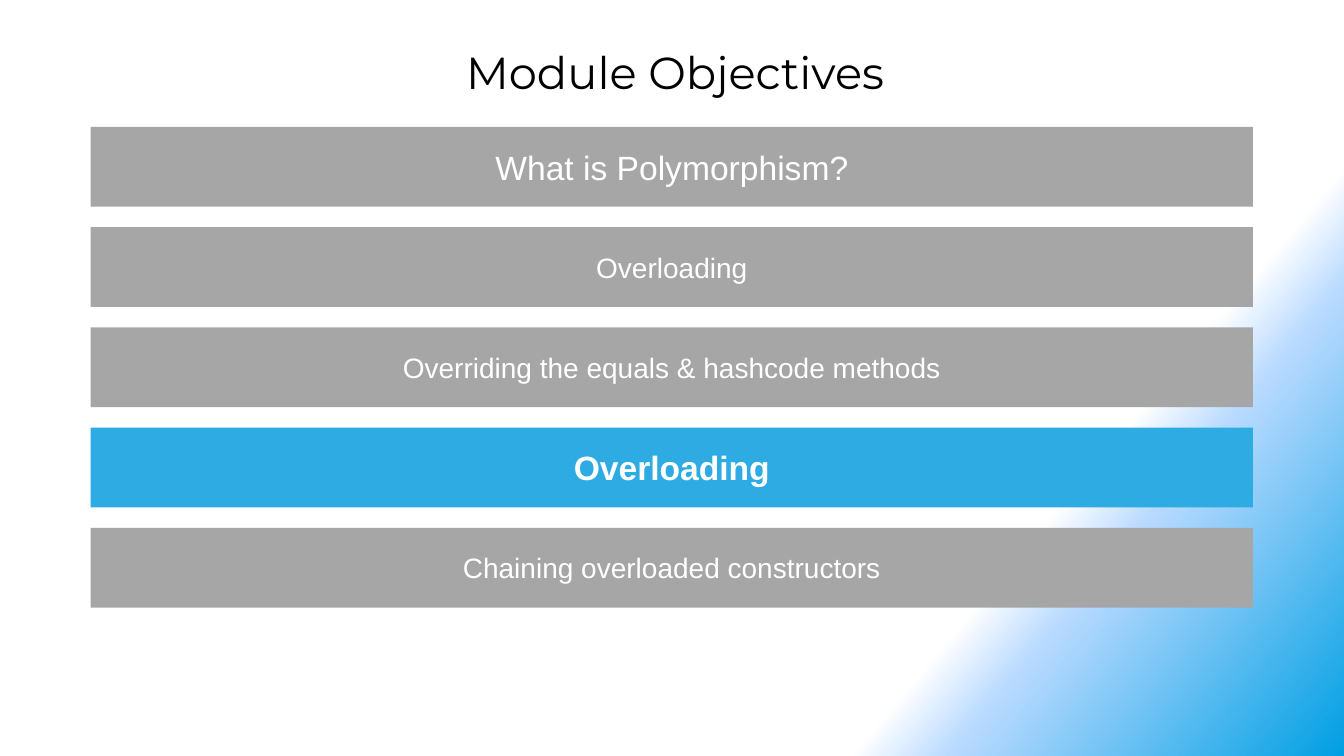
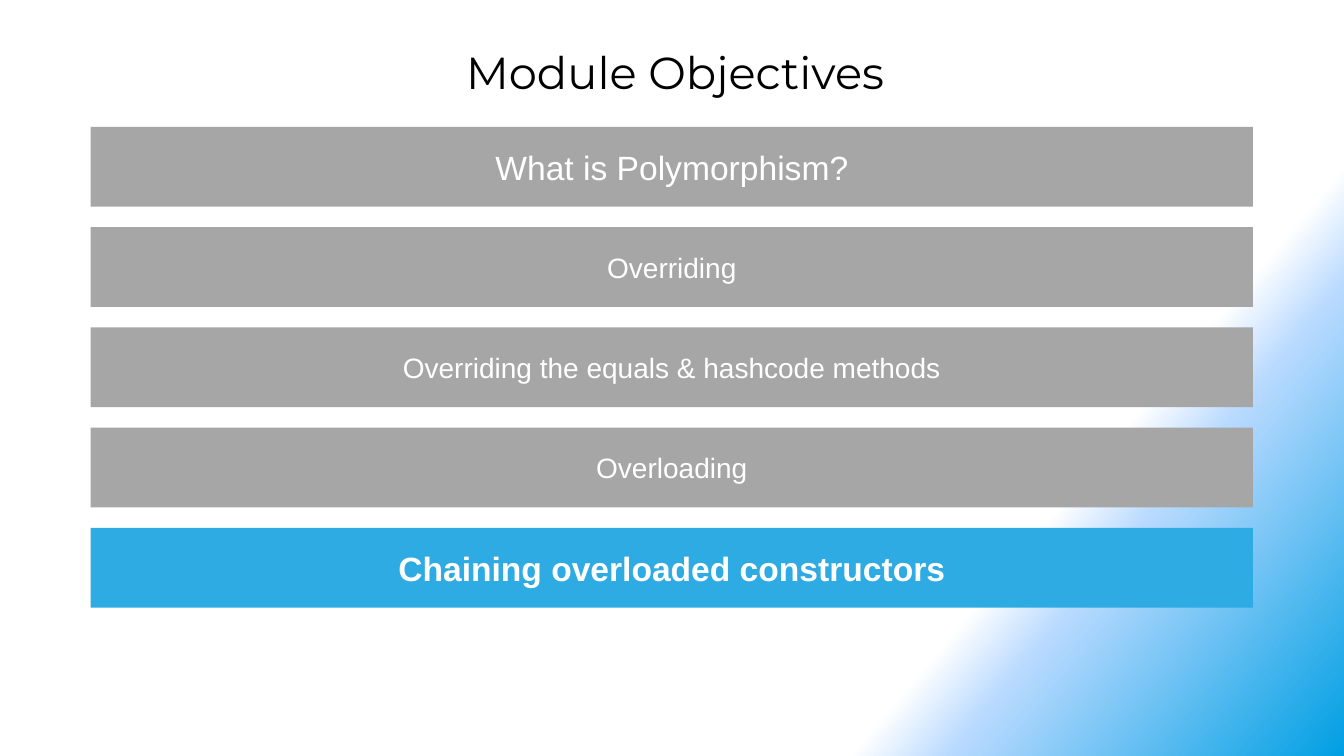
from dataclasses import dataclass

from lxml.etree import SubElement
from pptx import Presentation
from pptx.dml.color import RGBColor
from pptx.enum.shapes import MSO_SHAPE
from pptx.enum.text import MSO_ANCHOR, MSO_AUTO_SIZE, PP_ALIGN
from pptx.oxml.ns import qn
from pptx.presentation import Presentation as Deck
from pptx.slide import Slide, SlideMaster
from pptx.text.text import Font, TextFrame
from pptx.util import Pt

WHITE = RGBColor(0xFF, 0xFF, 0xFF)
BLACK = RGBColor(0x00, 0x00, 0x00)
GREY = RGBColor(0xA6, 0xA6, 0xA6)
HIGHLIGHT = RGBColor(0x2E, 0xAB, 0xE2)
PALE_BLUE = RGBColor(0xB9, 0xDA, 0xFF)
DEEP_BLUE = RGBColor(0x00, 0x9F, 0xE3)

TITLE_FONT = "Montserrat"
BODY_FONT = "Arial"

BAR_LEFT, BAR_TOP = 64.8, 90.7
BAR_WIDTH, BAR_HEIGHT = 830.2, 56.9
BAR_STEP = 71.6


@dataclass(frozen=True)
class GradientStop:
    percent: int
    color: RGBColor
    opacity: int = 100


@dataclass(frozen=True)
class Objective:
    text: str
    size: int = 20
    current: bool = False


BACKGROUND_STOPS = (
    GradientStop(75, WHITE),
    GradientStop(80, PALE_BLUE, opacity=50),
    GradientStop(100, DEEP_BLUE),
)

POLYMORPHISM = Objective("What is Polymorphism?", size=24)
EQUALS_HASHCODE = Objective("Overriding the equals & hashcode methods")
OVERLOADING = "Overloading"
CHAINING = "Chaining overloaded constructors"

AGENDAS = (
    (
        POLYMORPHISM,
        Objective(OVERLOADING),
        EQUALS_HASHCODE,
        Objective(OVERLOADING, size=24, current=True),
        Objective(CHAINING),
    ),
    (
        POLYMORPHISM,
        Objective("Overriding"),
        EQUALS_HASHCODE,
        Objective(OVERLOADING),
        Objective(CHAINING, size=24, current=True),
    ),
)


def paint_background(master: SlideMaster) -> None:
    """Give every slide the diagonal gradient, which python-pptx limits to two stops."""
    fill = master.background.fill
    fill.gradient()
    fill.gradient_angle = 320
    stop_list = master.element.xpath("./p:cSld/p:bg//a:gsLst")[0]
    for default_stop in list(stop_list):
        stop_list.remove(default_stop)
    for stop in BACKGROUND_STOPS:
        entry = SubElement(stop_list, qn("a:gs"), pos=str(stop.percent * 1000))
        color = SubElement(entry, qn("a:srgbClr"), val=str(stop.color))
        if stop.opacity < 100:
            SubElement(color, qn("a:alpha"), val=str(stop.opacity * 1000))


def write_centred(frame: TextFrame, text: str) -> Font:
    """Write one centred run and return its font for styling."""
    frame.word_wrap = True
    frame.vertical_anchor = MSO_ANCHOR.MIDDLE
    paragraph = frame.paragraphs[0]
    paragraph.alignment = PP_ALIGN.CENTER
    run = paragraph.add_run()
    run.text = text
    return run.font


def style_font(font: Font, name: str, size: int, color: RGBColor, bold: bool = False) -> None:
    font.name = name
    font.size = Pt(size)
    font.bold = bold
    font.color.rgb = color


def add_title(slide: Slide, text: str) -> None:
    title = slide.shapes.title
    title.left, title.top = Pt(48.2), Pt(28.1)
    title.width, title.height = Pt(868.3), Pt(46.1)
    title.text_frame.auto_size = MSO_AUTO_SIZE.NONE
    style_font(write_centred(title.text_frame, text), TITLE_FONT, 32, BLACK)


def add_objective(slide: Slide, row: int, objective: Objective) -> None:
    bar = slide.shapes.add_shape(
        MSO_SHAPE.RECTANGLE,
        Pt(BAR_LEFT), Pt(BAR_TOP + row * BAR_STEP), Pt(BAR_WIDTH), Pt(BAR_HEIGHT),
    )
    bar.shadow.inherit = False
    bar.fill.solid()
    bar.fill.fore_color.rgb = HIGHLIGHT if objective.current else GREY
    bar.line.fill.background()
    font = write_centred(bar.text_frame, objective.text)
    style_font(font, BODY_FONT, objective.size, WHITE, bold=objective.current)


def add_agenda(deck: Deck, objectives: tuple[Objective, ...]) -> None:
    title_only = deck.slide_layouts.get_by_name("Title Only")
    slide = deck.slides.add_slide(title_only)
    add_title(slide, "Module Objectives")
    for row, objective in enumerate(objectives):
        add_objective(slide, row, objective)


def main() -> None:
    deck = Presentation()
    deck.slide_width, deck.slide_height = Pt(960), Pt(540)
    paint_background(deck.slide_master)
    for objectives in AGENDAS:
        add_agenda(deck, objectives)
    deck.save("out.pptx")


if __name__ == "__main__":
    main()
